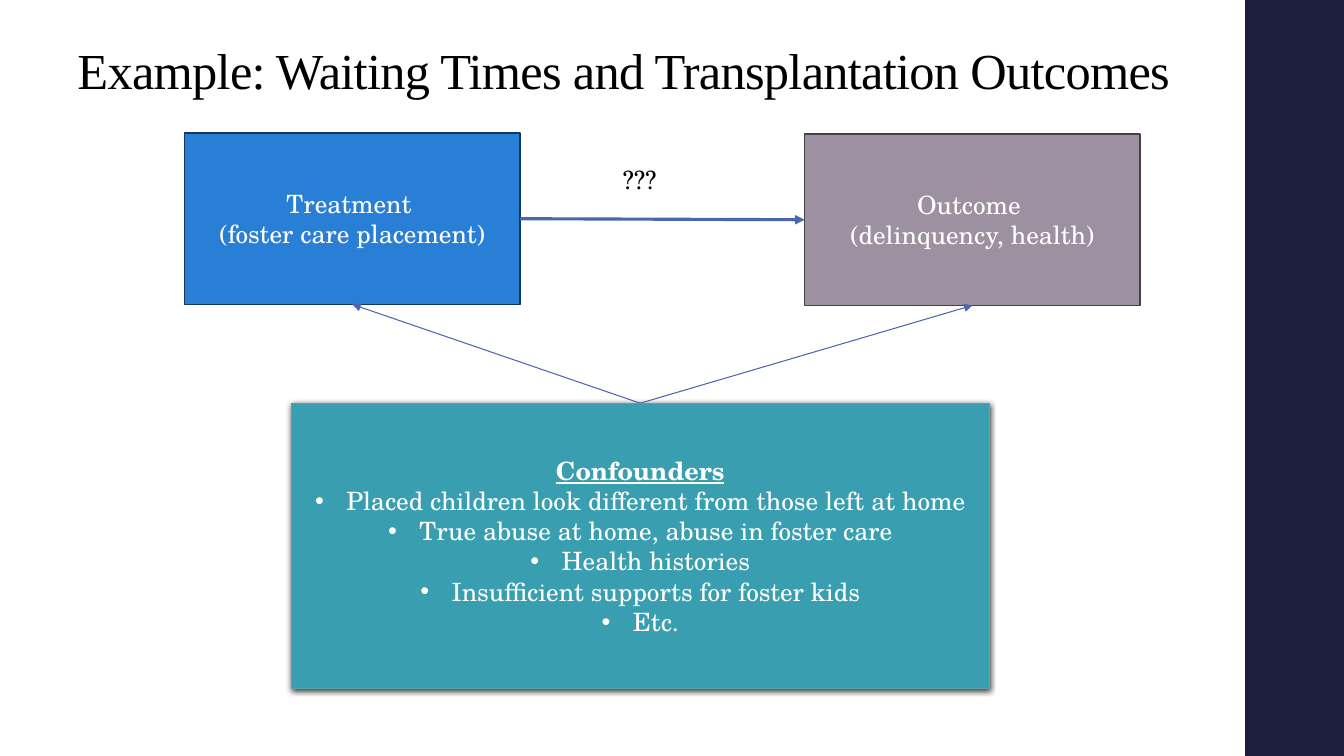
from lxml.etree import SubElement
from pptx import Presentation
from pptx.dml.color import RGBColor
from pptx.enum.shapes import MSO_CONNECTOR, MSO_SHAPE
from pptx.enum.text import MSO_ANCHOR, PP_ALIGN
from pptx.oxml.ns import qn
from pptx.util import Inches, Pt

BLACK = RGBColor(0x00, 0x00, 0x00)
WHITE = RGBColor(0xFF, 0xFF, 0xFF)
NAVY = RGBColor(0x1B, 0x1E, 0x3E)
BLUE = RGBColor(0x29, 0x7F, 0xD5)
DEEP = RGBColor(0x12, 0x38, 0x5D)
MAUVE = RGBColor(0x9D, 0x90, 0xA0)
PLUM = RGBColor(0x45, 0x3F, 0x46)
TEAL = RGBColor(0x39, 0x9F, 0xB0)
RIM = RGBColor(0x5A, 0xA2, 0xAE)
ARROW = RGBColor(0x4A, 0x66, 0xAC)
SERIF = "Times New Roman"
BODY = "TeX Gyre Schola"
TOP, LEFT, BOTTOM, RIGHT = range(4)


def style(frame, color, size=18, font=BODY):
    for para in frame.paragraphs:
        for run in para.runs:
            run.font.name = font
            run.font.size = Pt(size)
            run.font.color.rgb = color


def add_box(slide, place, fill, edge=None, width=0, lines=()):
    """Add a filled rectangle with centred white lines of text."""
    box = slide.shapes.add_shape(MSO_SHAPE.RECTANGLE, *map(Inches, place))
    box.shadow.inherit = False
    box.fill.solid()
    box.fill.fore_color.rgb = fill
    if edge is None:
        box.line.fill.background()
    else:
        box.line.color.rgb = edge
        box.line.width = Pt(width)
    frame = box.text_frame
    frame.word_wrap = True
    frame.vertical_anchor = MSO_ANCHOR.MIDDLE
    frame.text = "\n".join(lines)
    for para in frame.paragraphs:
        para.alignment = PP_ALIGN.CENTER
    style(frame, WHITE)
    return box


def add_label(slide, place, text, size=18, font=BODY):
    label = slide.shapes.add_textbox(*map(Inches, place))
    label.text_frame.text = text
    style(label.text_frame, BLACK, size, font)
    return label


def add_title(slide, text):
    frame = add_label(slide, (0.67, 0.37, 11.42, 0.68), text, 36, SERIF).text_frame
    frame.word_wrap = True
    frame.vertical_anchor = MSO_ANCHOR.BOTTOM
    para = frame.paragraphs[0]
    para.line_spacing = 0.9
    para.runs[0].font._element.set("spc", "-50")


def add_arrow(slide, start, side, end, goal, width):
    """Join one side of a box to a side of another, with a head at the end."""
    line = slide.shapes.add_connector(MSO_CONNECTOR.STRAIGHT, 0, 0, 0, 0)
    line.begin_connect(start, side)
    line.end_connect(end, goal)
    line.line.color.rgb = ARROW
    line.line.width = Pt(width)
    SubElement(line.line._get_or_add_ln(), qn("a:tailEnd"), type="triangle")
    SubElement(line._element.spPr, qn("a:effectLst"))


def add_bullet(para):
    props = para._p.get_or_add_pPr()
    props.set("marL", str(Inches(0.31)))
    props.set("indent", str(Inches(-0.31)))
    SubElement(props, qn("a:buFont"), typeface="Arial")
    SubElement(props, qn("a:buChar"), char="•")


def add_shadow(shape):
    effects = shape._element.spPr.find(qn("a:effectLst"))
    shadow = SubElement(effects, qn("a:outerShdw"), blurRad=str(Pt(4)),
                        dist=str(Pt(1.2)), dir="5400000", rotWithShape="0")
    color = SubElement(shadow, qn("a:srgbClr"), val=str(BLACK))
    SubElement(color, qn("a:alpha"), val="75000")


def main():
    deck = Presentation()
    deck.slide_width = Inches(13.33)
    deck.slide_height = Inches(7.5)
    slide = deck.slides.add_slide(deck.slide_layouts[6])

    add_box(slide, (12.35, 0, 0.98, 7.5), NAVY)
    add_title(slide, "Example: Waiting Times and Transplantation Outcomes")
    cause = add_box(slide, (1.83, 1.32, 3.33, 1.7), BLUE, DEEP, 1.1,
                    ["Treatment ", "(foster care placement)"])
    result = add_box(slide, (7.98, 1.33, 3.33, 1.7), MAUVE, PLUM, 1.1,
                     ["Outcome ", "(delinquency, health)"])
    add_arrow(slide, cause, RIGHT, result, LEFT, 2.25)
    add_label(slide, (6.08, 1.58, 0.54, 0.4), "???").text_frame.word_wrap = False

    factors = add_box(slide, (2.89, 4, 6.92, 2.83), TEAL, RIM, 0.75, [
        "Confounders",
        "Placed children look different from those left at home",
        "True abuse at home, abuse in foster care",
        "Health histories",
        "Insufficient supports for foster kids",
        "Etc.",
    ])
    add_shadow(factors)
    head, *items = factors.text_frame.paragraphs
    head.runs[0].font.bold = True
    head.runs[0].font.underline = True
    for item in items:
        add_bullet(item)
    for target in (cause, result):
        add_arrow(slide, factors, TOP, target, BOTTOM, 0.75)

    deck.save("out.pptx")


if __name__ == "__main__":
    main()
